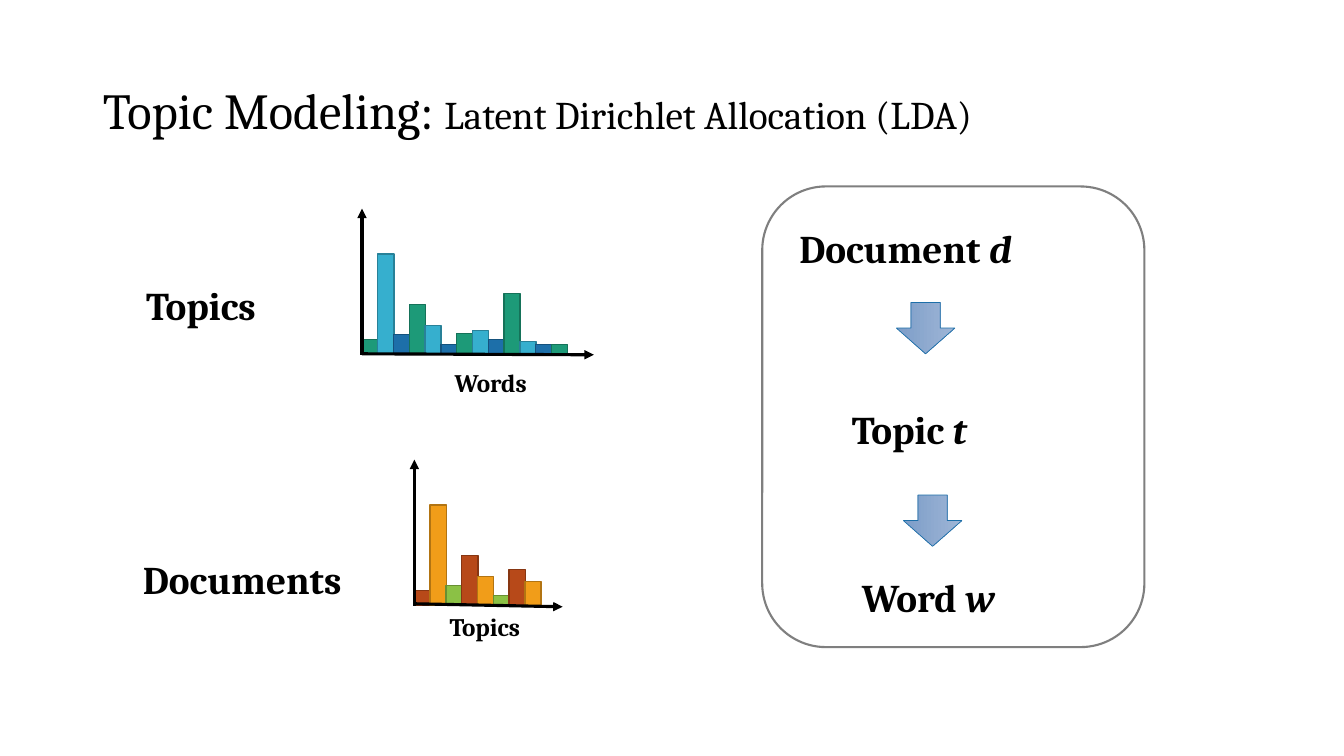
from pptx import Presentation
from pptx.dml.color import RGBColor
from pptx.enum.shapes import MSO_CONNECTOR, MSO_SHAPE
from pptx.enum.text import MSO_ANCHOR, PP_ALIGN
from pptx.oxml.ns import qn
from pptx.util import Inches, Pt
from lxml import etree

FONT = "Cambria"
COLORS = {
    "black": "000000", "white": "FFFFFF", "frame": "7F7F7F",
    "green": "1D9A78", "green_edge": "157259",
    "cyan": "36AFCE", "cyan_edge": "288198",
    "blue": "1D6FA9", "blue_edge": "15527D",
    "rust": "B74919", "rust_edge": "873612",
    "orange": "F19D19", "orange_edge": "B27412",
    "lime": "8BC145", "lime_edge": "678F33",
    "arrow_dark": "7D9DC8", "arrow_light": "9EB5D6",
}
BAR_WIDTH = 0.16
BAR_PITCH = 1.88 / 12


def rgb(name):
    return RGBColor.from_string(COLORS[name])


def add_run(p, text, size=28, bold=False, italic=False):
    r = p.add_run()
    r.text = text
    r.font.name = FONT
    r.font.size = Pt(size)
    r.font.bold = bold
    r.font.italic = italic
    r.font.color.rgb = rgb("black")


def add_label(slide, text, x, y, w, h, size=28, variable=""):
    tf = slide.shapes.add_textbox(Inches(x), Inches(y), Inches(w), Inches(h)).text_frame
    tf.word_wrap = True
    p = tf.paragraphs[0]
    add_run(p, text, size=size, bold=True)
    if variable:
        add_run(p, variable, size=size, bold=True, italic=True)


def add_box(slide, kind, x, y, w, h, fill, edge, width):
    sp = slide.shapes.add_shape(kind, Inches(x), Inches(y), Inches(w), Inches(h))
    sp.shadow.inherit = False
    sp.fill.solid()
    sp.fill.fore_color.rgb = rgb(fill)
    sp.line.color.rgb = rgb(edge)
    sp.line.width = Pt(width)
    return sp


def add_axis(slide, x1, y1, x2, y2):
    axis = slide.shapes.add_connector(
        MSO_CONNECTOR.STRAIGHT, Inches(x1), Inches(y1), Inches(x2), Inches(y2))
    axis.line.color.rgb = rgb("black")
    axis.line.width = Pt(2.25)
    etree.SubElement(axis.line._get_or_add_ln(), qn("a:tailEnd"), type="triangle")
    etree.SubElement(axis._element.spPr, qn("a:effectLst"))


def add_distribution(slide, x, base, heights, palette, axis_start, axis_end):
    """Draw bars in cycling colours, with a vertical and a horizontal axis."""
    for i, height in enumerate(heights):
        color = palette[i % len(palette)]
        add_box(slide, MSO_SHAPE.RECTANGLE, x + i * BAR_PITCH, base - height,
                BAR_WIDTH, height, color, color + "_edge", 1)
    add_axis(slide, x, base, x, base - 1.45)
    add_axis(slide, x, axis_start, *axis_end)


def add_down_arrow(slide, x, y):
    sp = add_box(slide, MSO_SHAPE.DOWN_ARROW, x, y, 0.58, 0.51,
                 "arrow_dark", "blue", 0.5)
    sp.fill.gradient()
    sp.fill.gradient_angle = 0
    for stop, color in zip(sp.fill.gradient_stops, ("arrow_dark", "arrow_light")):
        stop.color.rgb = rgb(color)


def add_title(slide):
    title = slide.shapes.title
    title.left, title.top = Inches(0.92), Inches(0.4)
    title.width, title.height = Inches(11.5), Inches(1.45)
    tf = title.text_frame
    tf.vertical_anchor = MSO_ANCHOR.MIDDLE
    p = tf.paragraphs[0]
    p.alignment = PP_ALIGN.LEFT
    p.line_spacing = 0.9
    add_run(p, "Topic Modeling: ", size=36)
    add_run(p, "Latent Dirichlet Allocation (LDA)")


def main():
    prs = Presentation()
    prs.slide_width, prs.slide_height = Inches(13.33), Inches(7.5)
    slide = prs.slides.add_slide(prs.slide_layouts[5])
    add_title(slide)

    # Topics as distributions over words
    add_label(slide, "Topics", 1.35, 2.74, 1.39, 0.57)
    add_distribution(
        slide, 3.59, 3.52,
        [0.15, 1, 0.2, 0.5, 0.29, 0.1, 0.21, 0.24, 0.15, 0.61, 0.13, 0.1, 0.1],
        ["green", "cyan", "blue"], 3.51, (5.89, 3.52))
    add_label(slide, "Words", 4.41, 3.59, 1.08, 0.4, size=18)

    # Documents as distributions over topics
    add_label(slide, "Documents", 1.32, 5.46, 2.34, 0.57)
    add_distribution(
        slide, 4.11, 6.01, [0.15, 1, 0.2, 0.5, 0.29, 0.1, 0.36, 0.24],
        ["rust", "orange", "lime"], 5.99, (5.58, 6.02))
    add_label(slide, "Topics", 4.36, 6.02, 1.08, 0.4, size=18)

    # Generative process
    add_box(slide, MSO_SHAPE.ROUNDED_RECTANGLE, 7.56, 1.85, 3.79, 4.57,
            "white", "frame", 1.5)
    add_label(slide, "Document ", 7.83, 2.18, 2.48, 0.53, variable="d")
    add_down_arrow(slide, 8.89, 3)
    add_label(slide, "Topic ", 8.35, 3.97, 1.46, 0.53, variable="t")
    add_down_arrow(slide, 8.96, 4.91)
    add_label(slide, "Word ", 8.45, 5.64, 1.6, 0.53, variable="w")

    prs.save("out.pptx")


if __name__ == "__main__":
    main()
